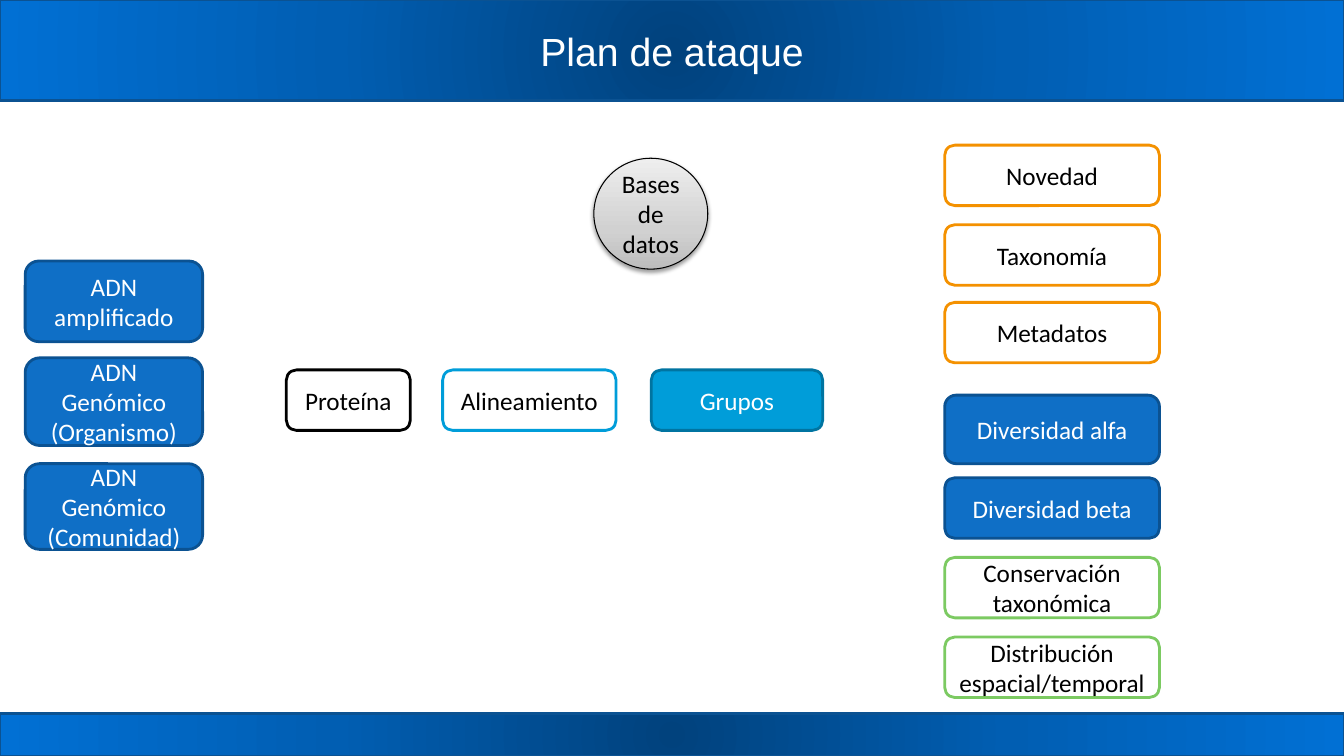
"""Build the "Plan de ataque" slide: DNA sources, protein pipeline and resulting analyses."""
import pptx
import pptx.dml.color
import pptx.enum.shapes
import pptx.enum.text
import pptx.oxml
import pptx.oxml.ns
import pptx.util
from lxml import etree

SHAPES = pptx.enum.shapes.MSO_SHAPE
WIDTH, HEIGHT = 13.33, 7.5

THEME = {
    "title": {"font": "Arial", "size": 28, "color": "FFFFFF"},
    "label": {"font": "Calibri", "size": 18},
    "line": 2,
    "band": {"stops": [(0, "01427D"), (50, "015EB2"), (100, "0170D4")], "line": "0B5292"},
    "database": {"stops": [(0, "BDBDBD"), (35, "D1D1D1"), (100, "EEEEEE")], "line": "000000"},
    "blue": {"fill": "0F6FC6", "line": "0B5292", "color": "FFFFFF"},
    "cyan": {"fill": "009DD9", "line": "0074A1", "color": "FFFFFF"},
    "black outline": {"fill": "FFFFFF", "line": "000000", "color": "000000"},
    "cyan outline": {"fill": "FFFFFF", "line": "009DD9", "color": "000000"},
    "orange outline": {"fill": "FFFFFF", "line": "F49100", "color": "000000"},
    "green outline": {"fill": "FFFFFF", "line": "7CCA62", "color": "000000"},
}

TITLE = "Plan de ataque"
DATABASE = "Bases de datos"
BANDS = [(0, 1), (7.08, 0.42)]

# Each entry: label, style, extent along its stack, gap to the next entry.
SOURCES = [
    ("ADN\namplificado", "blue", 0.8, 0.16),
    ("ADN\nGenómico\n(Organismo)", "blue", 0.87, 0.18),
    ("ADN\nGenómico (Comunidad)", "blue", 0.85, 0),
]
PIPELINE = [
    ("Proteína", "black outline", 1.23, 0.32),
    ("Alineamiento", "cyan outline", 1.72, 0.35),
    ("Grupos", "cyan", 1.7, 0),
]
ANALYSES = [
    ("Novedad", "orange outline", 0.6, 0.19),
    ("Taxonomía", "orange outline", 0.6, 0.17),
    ("Metadatos", "orange outline", 0.6, 0.32),
    ("Diversidad alfa", "blue", 0.68, 0.14),
    ("Diversidad beta", "blue", 0.6, 0.19),
    ("Conservación taxonómica", "green outline", 0.6, 0.19),
    ("Distribución espacial/temporal", "green outline", 0.6, 0),
]

deck = pptx.Presentation()
deck.slide_width, deck.slide_height = pptx.util.Inches(WIDTH), pptx.util.Inches(HEIGHT)
slide = deck.slides.add_slide(deck.slide_layouts[6])


def rgb(code):
    return pptx.dml.color.RGBColor.from_string(code)


def write(holder, text, *, font, size, color):
    frame = holder.text_frame
    frame.word_wrap = True
    frame.vertical_anchor = pptx.enum.text.MSO_ANCHOR.MIDDLE
    frame.text = text
    for paragraph in frame.paragraphs:
        paragraph.alignment = pptx.enum.text.PP_ALIGN.CENTER
        for run in paragraph.runs:
            run.font.name, run.font.size = font, pptx.util.Pt(size)
            run.font.color.rgb = rgb(color)


def draw(preset, box, fill, line, weight=THEME["line"]):
    shape = slide.shapes.add_shape(preset, *map(pptx.util.Inches, box))
    shape.shadow.inherit = False
    shape.fill.solid()
    shape.fill.fore_color.rgb = rgb(fill)
    shape.line.color.rgb = rgb(line)
    shape.line.width = pptx.util.Pt(weight)
    return shape


def shade(shape, stops, direction):
    colors = "".join(
        f'<a:gs pos="{place * 1000}"><a:srgbClr val="{code}"/></a:gs>' for place, code in stops
    )
    gradient = pptx.oxml.parse_xml(
        f'<a:gradFill {pptx.oxml.ns.nsdecls("a")} rotWithShape="1">'
        f"<a:gsLst>{colors}</a:gsLst>{direction}</a:gradFill>"
    )
    properties = shape.element.spPr
    properties.replace(properties.find(pptx.oxml.ns.qn("a:solidFill")), gradient)


def cast_shadow(shape, color, opacity, blur, distance):
    effects = shape.element.spPr.find(pptx.oxml.ns.qn("a:effectLst"))
    outer = etree.SubElement(
        effects, pptx.oxml.ns.qn("a:outerShdw"), blurRad=str(pptx.util.Pt(blur)),
        dist=str(pptx.util.Pt(distance)), dir="5400000", rotWithShape="0",
    )
    tint = etree.SubElement(outer, pptx.oxml.ns.qn("a:srgbClr"), val=color)
    etree.SubElement(tint, pptx.oxml.ns.qn("a:alpha"), val=str(opacity * 1000))


def stack(entries, left, top, breadth, across=False):
    for label, style, extent, gap in entries:
        size = (extent, breadth) if across else (breadth, extent)
        look = THEME[style]
        step = draw(SHAPES.ROUNDED_RECTANGLE, (left, top, *size), look["fill"], look["line"])
        write(step, label, color=look["color"], **THEME["label"])
        if across:
            left += extent + gap
        else:
            top += extent + gap


band = THEME["band"]
for band_top, band_height in BANDS:
    strip = draw(SHAPES.RECTANGLE, (0, band_top, WIDTH, band_height), band["stops"][0][1], band["line"])
    shade(strip, band["stops"],
          '<a:path path="circle"><a:fillToRect l="50000" t="50000" r="50000" b="50000"/></a:path>')

heading = slide.shapes.add_textbox(*map(pptx.util.Inches, (WIDTH / 10, 0, WIDTH * 0.8, BANDS[0][1])))
write(heading, TITLE, **THEME["title"])

stack(SOURCES, 0.25, 2.59, 1.76)
stack(PIPELINE, 2.84, 3.67, 0.6, across=True)
stack(ANALYSES, 9.37, 1.44, 2.13)

grey = THEME["database"]
database = draw(SHAPES.OVAL, (5.89, 1.57, 1.13, 1.1), grey["stops"][0][1], grey["line"], 0.75)
shade(database, grey["stops"], '<a:lin ang="16200000" scaled="0"/>')
cast_shadow(database, "000000", 38, 3.1, 1.6)
write(database, DATABASE, color="000000", **THEME["label"])

deck.save("out.pptx")
